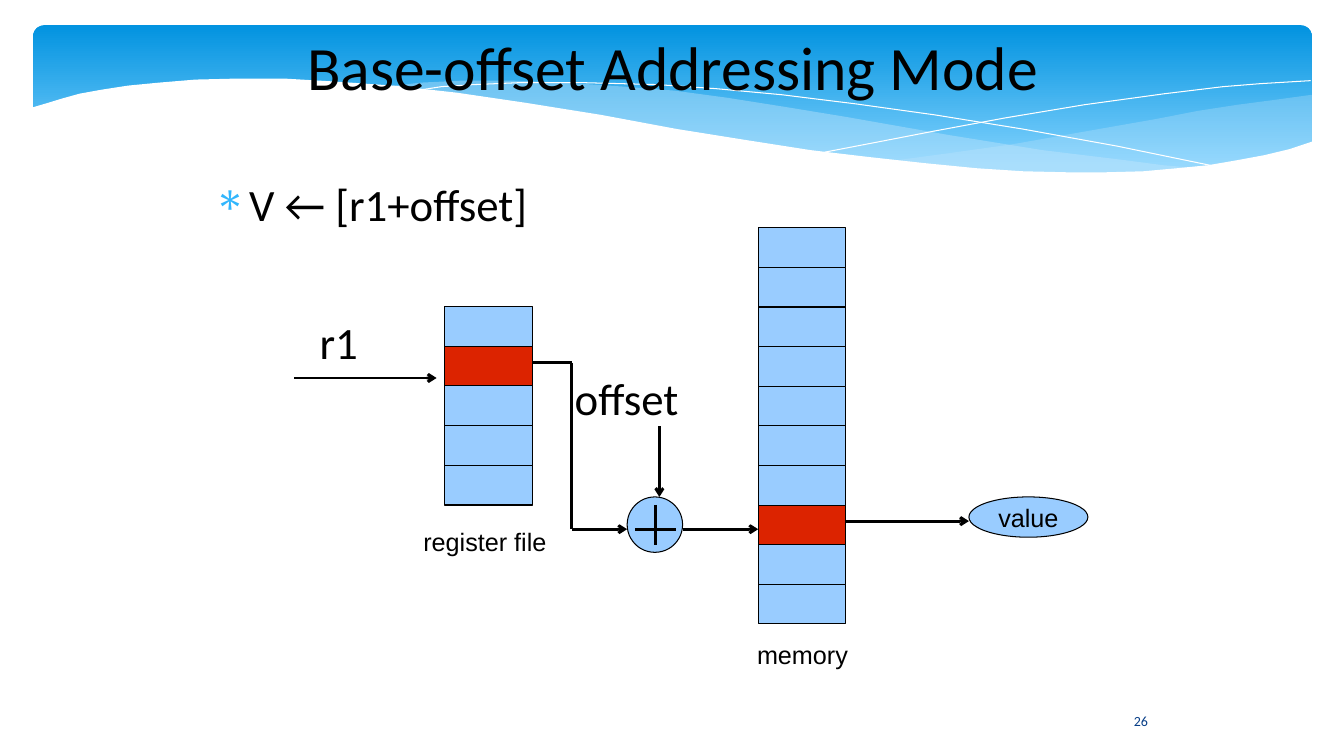
"""Build the base-offset addressing mode slide."""
from dataclasses import dataclass

from lxml import etree
from pptx import Presentation
from pptx.dml.color import RGBColor
from pptx.enum import shapes, text
from pptx.oxml import ns
from pptx.util import Inches, Pt


@dataclass(frozen=True)
class Theme:
    """Colours, fonts and type sizes."""
    black: str = "000000"
    white: str = "FFFFFF"
    cell: str = "99CCFF"
    active: str = "DC2300"
    bullet: str = "31B6FD"
    number: str = "073E87"
    wave: str = "C6E7FC"
    banner_top: str = "0293E0"
    banner_bottom: str = "83D3FE"
    heading_font: str = "Calibri"
    caption_font: str = "Arial"
    title_size: int = 44
    body_size: int = 32
    caption_size: int = 18
    number_size: int = 10


RIGHT_WAVE = [
    (13.01, 0.94), (12.65, 0.99), (12.27, 1.04), (11.88, 1.1), (11.47, 1.18),
    (10.73, 1.31), (10.05, 1.43), (9.41, 1.52), (8.82, 1.6), (9.21, 1.64),
    (9.76, 1.68), (10.25, 1.71), (10.71, 1.72), (11.13, 1.72), (11.51, 1.7),
    (11.86, 1.66), (12.18, 1.62), (12.57, 1.54), (13.01, 1.42)]
LONG_WAVE = [
    (11.9, 1.67), (11.54, 1.64), (11.16, 1.59), (10.34, 1.49), (9.41, 1.34),
    (8.39, 1.16), (7.78, 1.06), (7.21, 0.97), (6.69, 0.9), (6.19, 0.86),
    (5.6, 0.82), (5.06, 0.8), (4.59, 0.8), (4.18, 0.82), (3.82, 0.86),
    (4.31, 0.9), (4.83, 0.97), (5.39, 1.06), (5.99, 1.16), (7.06, 1.35),
    (8.02, 1.5), (8.87, 1.61), (9.63, 1.68), (10.3, 1.72), (10.9, 1.73),
    (11.43, 1.71), (11.9, 1.67)]
FALLING_LINE = [
    (4.12, 0.9), (4.38, 0.86), (4.7, 0.84), (5.16, 0.82), (5.77, 0.82),
    (6.52, 0.84), (7.1, 0.88), (7.75, 0.94), (8.48, 1.03), (9.27, 1.14),
    (10.14, 1.28), (11.08, 1.45), (12.1, 1.66)]
RISING_LINE = [
    (8.18, 1.51), (8.7, 1.41), (9.27, 1.3), (9.97, 1.17), (10.75, 1.04),
    (11.55, 0.93), (12.13, 0.86), (12.5, 0.83), (13, 0.8)]
WHITE_EDGE = [
    (13.03, 1.4), (12.79, 1.48), (12.54, 1.54), (12.27, 1.59), (11.98, 1.64),
    (11.67, 1.67), (11.34, 1.7), (10.97, 1.71), (10.58, 1.71), (10.15, 1.7),
    (9.69, 1.67), (9.18, 1.62), (8.63, 1.56), (8.04, 1.49), (7.4, 1.39),
    (6.71, 1.28), (5.96, 1.14), (5.21, 1.02), (4.53, 0.92), (3.9, 0.85),
    (3.33, 0.81), (2.82, 0.78), (2.35, 0.78), (1.94, 0.79), (1.58, 0.82),
    (1.27, 0.85), (1.01, 0.89), (0.79, 0.93), (0.61, 0.98), (0.48, 1.02),
    (0.31, 1.07), (0.31, 2.24), (13.03, 2.24)]


class SlideBuilder:
    """Draw themed elements on the current slide."""

    def __init__(self, slide, theme):
        self.slide = slide
        self.theme = theme

    def style(self, shape, fill=None, line=None, alpha=None):
        """Set the fill, hairline and transparency of a shape."""
        shape.shadow.inherit = False
        if fill:
            shape.fill.solid()
            shape.fill.fore_color.rgb = RGBColor.from_string(fill)
            if alpha:
                color = shape._element.spPr.find(".//" + ns.qn("a:srgbClr"))
                etree.SubElement(color, ns.qn("a:alpha"), val=str(alpha * 1000))
        else:
            shape.fill.background()
        if line:
            shape.line.color.rgb = RGBColor.from_string(line)
            shape.line.width = Pt(0)
        else:
            shape.line.fill.background()

    def banner(self, left, top, width, height):
        """Add the rounded gradient banner."""
        shape = self.slide.shapes.add_shape(
            shapes.MSO_SHAPE.ROUNDED_RECTANGLE, *map(Inches, (left, top, width, height)))
        self.style(shape)
        shape.adjustments[0] = 0.07
        shape.fill.gradient()
        shape.fill.gradient_angle = 270
        colors = (self.theme.banner_top, self.theme.banner_bottom)
        for stop, position, color in zip(shape.fill.gradient_stops, (0, 0.9), colors):
            stop.position = position
            stop.color.rgb = RGBColor.from_string(color)

    def outline(self, points, fill=None, line=None, alpha=None):
        """Add a freeform, closed when it has a fill."""
        start, *rest = [(Inches(x), Inches(y)) for x, y in points]
        builder = self.slide.shapes.build_freeform(*start)
        builder.add_line_segments(rest, close=bool(fill))
        self.style(builder.convert_to_shape(), fill, line, alpha)

    def block(self, kind, left, top, width, height, fill):
        """Add a filled shape with a black hairline."""
        shape = self.slide.shapes.add_shape(kind, *map(Inches, (left, top, width, height)))
        self.style(shape, fill, self.theme.black)
        return shape

    def cells(self, left, top, width, height, count, active):
        """Add a column of equal cells with one highlighted."""
        pitch = height / count
        for row in range(count):
            fill = self.theme.active if row == active else self.theme.cell
            self.block(shapes.MSO_SHAPE.RECTANGLE, left, top + row * pitch, width, pitch, fill)

    def line(self, start, end, arrow=False):
        """Add a straight hairline, optionally with an arrowhead."""
        connector = self.slide.shapes.add_connector(
            shapes.MSO_CONNECTOR.STRAIGHT, *map(Inches, (*start, *end)))
        connector.line.color.rgb = RGBColor.from_string(self.theme.black)
        connector.line.width = Pt(0)
        properties = connector._element.spPr
        if arrow:
            etree.SubElement(properties.find(ns.qn("a:ln")), ns.qn("a:tailEnd"), type="arrow")
        etree.SubElement(properties, ns.qn("a:effectLst"))

    def set_text(self, shape, words, size, font, color=None, align=text.PP_ALIGN.LEFT,
                 anchor=text.MSO_ANCHOR.TOP, wrap=True, margins=(0, 0), bullet=None):
        """Put one formatted paragraph in a shape."""
        frame = shape.text_frame
        frame.text = words
        frame.word_wrap = wrap
        frame.vertical_anchor = anchor
        frame.margin_left = frame.margin_right = Inches(margins[0])
        frame.margin_top = frame.margin_bottom = Inches(margins[1])
        paragraph = frame.paragraphs[0]
        paragraph.alignment = align
        if bullet:
            properties = paragraph._p.get_or_add_pPr()
            properties.set("marL", str(Inches(0.47)))
            properties.set("indent", str(Inches(-0.35)))
            holder = etree.SubElement(properties, ns.qn("a:buClr"))
            etree.SubElement(holder, ns.qn("a:srgbClr"), val=self.theme.bullet)
            etree.SubElement(properties, ns.qn("a:buChar"), char=bullet)
        for run in paragraph.runs:
            run.font.size = Pt(size)
            run.font.name = font
            run.font.color.rgb = RGBColor.from_string(color or self.theme.black)

    def label(self, words, left, top, width, height, size, font, **options):
        """Add a text box."""
        box = self.slide.shapes.add_textbox(*map(Inches, (left, top, width, height)))
        self.set_text(box, words, size, font, **options)


def main():
    """Compose and save the slide."""
    presentation = Presentation()
    presentation.slide_width, presentation.slide_height = Inches(13.33), Inches(7.5)
    theme = Theme()
    draw = SlideBuilder(presentation.slides.add_slide(presentation.slide_layouts[6]), theme)
    heading, caption = theme.heading_font, theme.caption_font
    middle = {"align": text.PP_ALIGN.CENTER, "anchor": text.MSO_ANCHOR.MIDDLE}
    tight = {"wrap": False, "margins": (0.1, 0.05)}

    draw.banner(0.33, 0.25, 12.68, 1.56)
    draw.outline(RIGHT_WAVE, fill=theme.wave, alpha=29)
    draw.outline(LONG_WAVE, fill=theme.wave, alpha=40)
    draw.outline(FALLING_LINE, line=theme.white)
    draw.outline(RISING_LINE, line=theme.white)
    draw.outline(WHITE_EDGE, fill=theme.white)

    draw.label("26", 11.01, 6.95, 0.61, 0.4, theme.number_size, heading,
               color=theme.number, **middle)
    draw.label("Base-offset Addressing Mode", 1.92, 0.14, 9.51, 1.02,
               theme.title_size, heading, **middle)
    draw.label("V ← [r1+offset]", 2, 1.75, 8.11, 0.77, theme.body_size, heading, bullet="∗")

    draw.cells(4.41, 3.04, 0.87, 1.97, count=5, active=1)
    draw.cells(7.52, 2.26, 0.87, 3.93, count=10, active=7)
    draw.label("r1", 3.17, 3.12, 0.93, 0.54, theme.body_size, heading)
    draw.label("offset", 5.7, 3.68, 1.7, 0.55, theme.body_size, heading)
    draw.label("register file", 4.1, 5.17, 1.43, 0.39, theme.caption_size, caption, **tight)
    draw.label("memory", 7.41, 6.29, 1.11, 0.39, theme.caption_size, caption, **tight)

    value = draw.block(shapes.MSO_SHAPE.OVAL, 9.61, 4.93, 1.18, 0.4, theme.cell)
    draw.set_text(value, "value", theme.caption_size, caption, **middle, **tight)
    draw.block(shapes.MSO_SHAPE.OVAL, 6.22, 4.93, 0.55, 0.55, theme.cell)
    for start, end in (((5.28, 3.6), (5.67, 3.6)), ((5.67, 3.6), (5.67, 5.25)),
                       ((6.3, 5.25), (6.7, 5.25)), ((6.5, 5.01), (6.5, 5.41))):
        draw.line(start, end)
    for start, end in (((2.92, 3.75), (4.33, 3.75)), ((5.67, 5.25), (6.22, 5.25)),
                       ((6.77, 5.25), (7.52, 5.25)), ((8.39, 5.17), (9.61, 5.17)),
                       ((6.54, 4.23), (6.54, 4.93))):
        draw.line(start, end, arrow=True)
    presentation.save("out.pptx")


if __name__ == "__main__":
    main()
